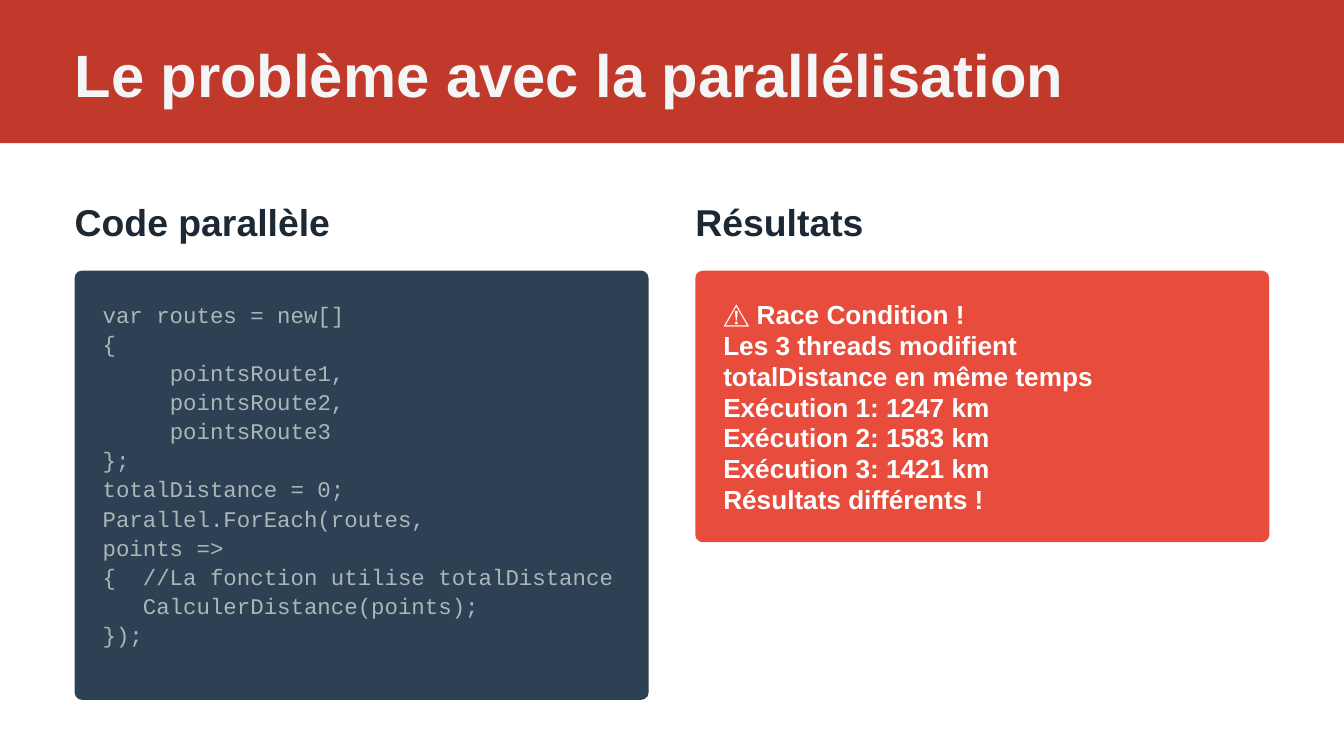
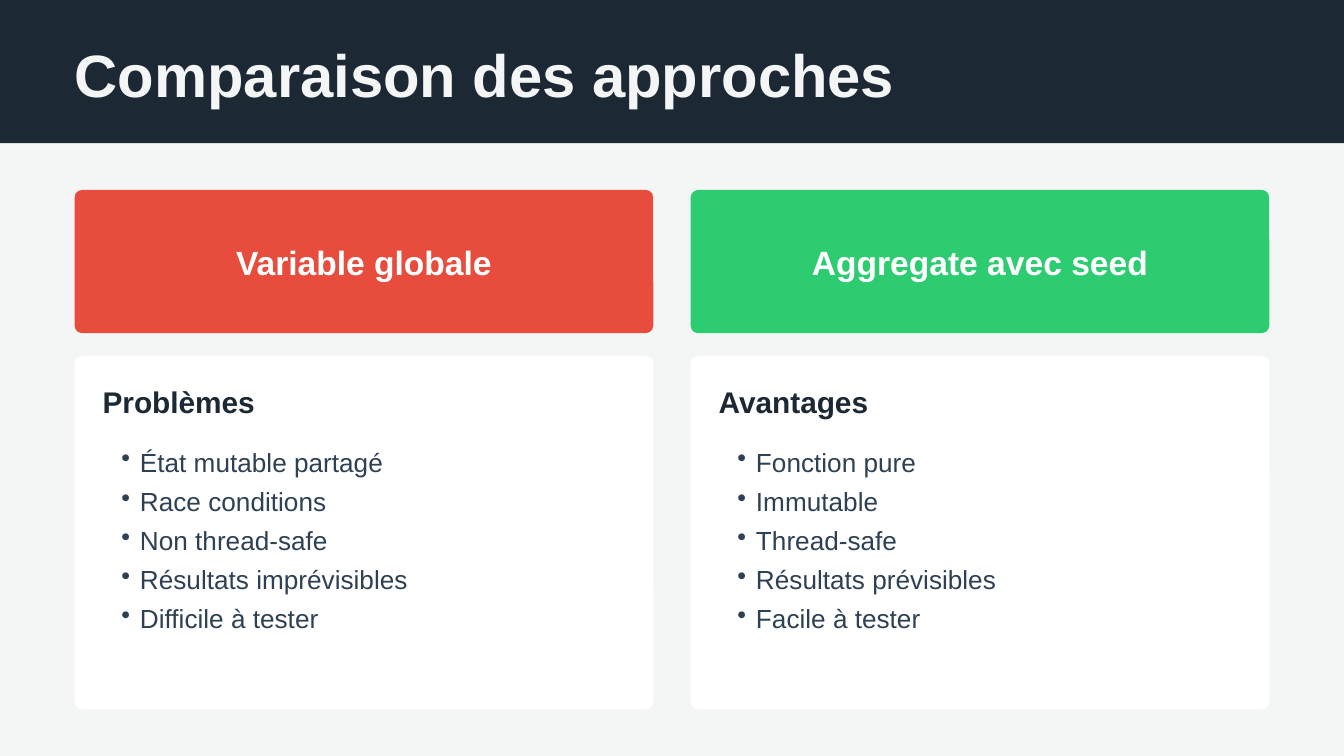
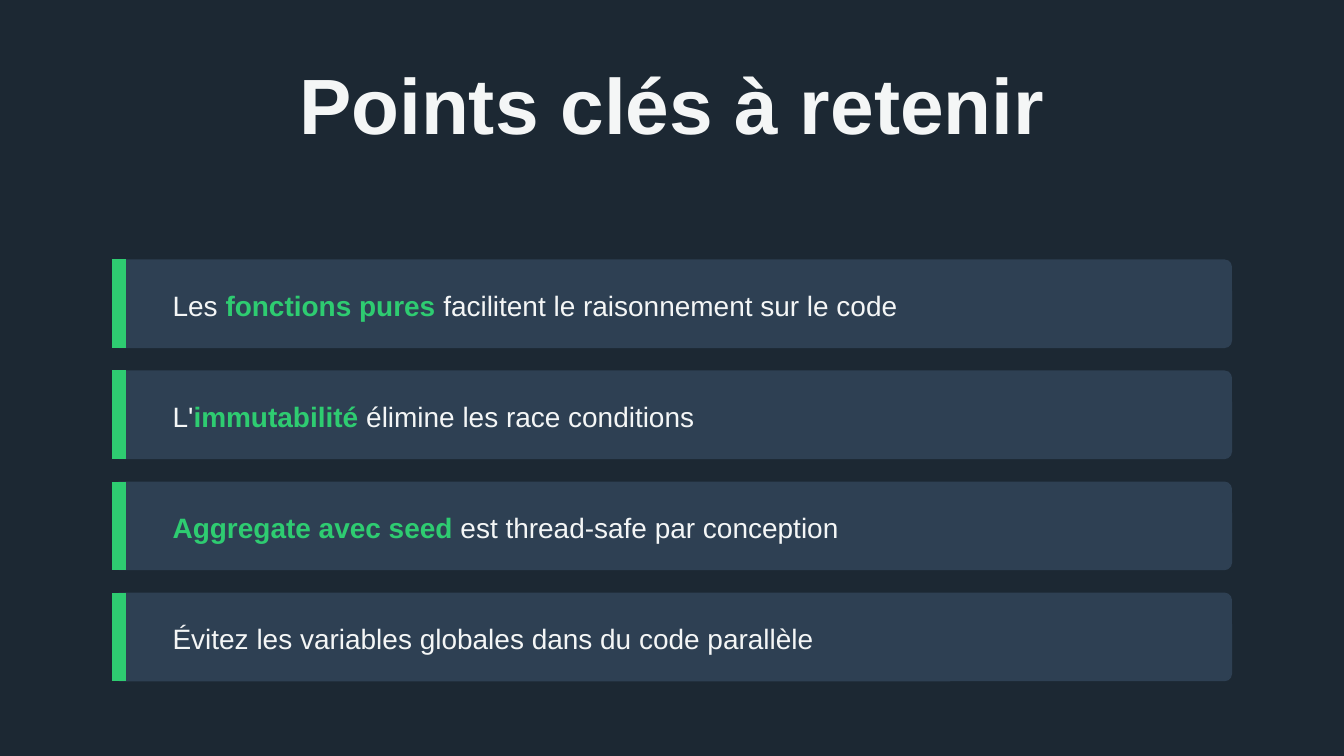
from dataclasses import dataclass
from typing import NamedTuple

from lxml.etree import SubElement
from pptx import Presentation
from pptx.dml.color import RGBColor as Rgb
from pptx.enum.shapes import MSO_CONNECTOR as Connector, MSO_SHAPE as Shape
from pptx.enum.text import PP_ALIGN as Align
from pptx.oxml import parse_xml
from pptx.oxml.ns import nsdecls, qn
from pptx.util import Pt


@dataclass(frozen=True)
class Theme:
    """Colours, fonts, type sizes and shared measures of the deck."""
    night: str = "1C2833"
    slate: str = "2E4053"
    mist: str = "F4F6F6"
    white: str = "FFFFFF"
    brick: str = "C0392B"
    red: str = "E74C3C"
    green: str = "2ECC71"
    code_grey: str = "AAB7B8"
    sans: str = "Arial"
    mono: str = "Courier New"
    closing_size: float = 42
    title_size: float = 32
    heading_size: float = 20
    label_size: float = 18
    subheading_size: float = 16
    takeaway_size: float = 15
    body_size: float = 14
    code_size: float = 12
    width: float = 720
    height: float = 405
    margin: float = 40
    padding: float = 15
    radius: float = 4


class Box(NamedTuple):
    """A rectangle in points."""
    x: float
    y: float
    w: float
    h: float

    def inner(self, dx, dy, w, h):
        """Return a box placed relative to this one."""
        return Box(self.x + dx, self.y + dy, w, h)

    def points(self):
        """Return the four measures as lengths."""
        return [Pt(value) for value in self]


THEME = Theme()

CODE = [
    "var routes = new[]",
    "{",
    "\tpointsRoute1,",
    "\tpointsRoute2,",
    "\tpointsRoute3",
    "};",
    "totalDistance = 0;",
    "Parallel.ForEach(routes,",
    "points =>",
    "{  //La fonction utilise totalDistance",
    "   CalculerDistance(points);",
    "});",
]
RESULTS = [
    "⚠️ Race Condition !",
    "Les 3 threads modifient",
    "totalDistance en même temps",
    "Exécution 1: 1247 km",
    "Exécution 2: 1583 km",
    "Exécution 3: 1421 km",
    "Résultats différents !",
]
APPROACHES = [
    ("Variable globale", THEME.red, "Problèmes",
     ["État mutable partagé", "Race conditions", "Non thread-safe",
      "Résultats imprévisibles", "Difficile à tester"]),
    ("Aggregate avec seed", THEME.green, "Avantages",
     ["Fonction pure", "Immutable", "Thread-safe",
      "Résultats prévisibles", "Facile à tester"]),
]
TAKEAWAYS = [
    "Les *fonctions pures* facilitent le raisonnement sur le code",
    "L'*immutabilité* élimine les race conditions",
    "*Aggregate avec seed* est thread-safe par conception",
    "Évitez les variables globales dans du code parallèle",
]


def add_slide(deck, background):
    """Add a blank slide with a plain background."""
    slide = deck.slides.add_slide(deck.slide_layouts[6])
    slide.background.fill.solid()
    slide.background.fill.fore_color.rgb = Rgb.from_string(background)
    return slide


def add_panel(slide, box, color, rounded=True):
    """Draw a filled panel without outline."""
    kind = Shape.ROUNDED_RECTANGLE if rounded else Shape.RECTANGLE
    panel = slide.shapes.add_shape(kind, *box.points())
    if rounded:
        panel.adjustments[0] = THEME.radius / min(box.w, box.h)
    panel.fill.solid()
    panel.fill.fore_color.rgb = Rgb.from_string(color)
    panel.line.fill.background()
    panel.shadow.inherit = False


def add_text(slide, box, lines, size, color, bold=False, font=THEME.sans,
             align=Align.LEFT, spacing=None):
    """Write one paragraph per line, with *marked* words in bold green."""
    frame = slide.shapes.add_textbox(*box.points()).text_frame
    frame.word_wrap = True
    frame.margin_left = frame.margin_right = Pt(0)
    frame.margin_top = frame.margin_bottom = Pt(0)
    for index, line in enumerate(lines):
        paragraph = frame.add_paragraph() if index else frame.paragraphs[0]
        paragraph.alignment = align
        if spacing:
            paragraph.line_spacing = Pt(spacing)
        paragraph.font.name = font
        paragraph.font.size = Pt(size)
        paragraph.font.bold = bold
        paragraph.font.color.rgb = Rgb.from_string(color)
        for position, words in enumerate(line.split("*")):
            if not words:
                continue
            run = paragraph.add_run()
            run.text = words
            if position % 2:
                run.font.bold = True
                run.font.color.rgb = Rgb.from_string(THEME.green)
    return frame


def add_bullets(slide, box, items):
    """Write a bulleted list with a hanging indent."""
    frame = add_text(slide, box, items, THEME.body_size, THEME.slate, spacing=21)
    for paragraph in frame.paragraphs:
        properties = paragraph._p.get_or_add_pPr()
        properties.set("marL", str(Pt(20)))
        properties.set("indent", str(Pt(-10)))
        bullet = parse_xml(f'<a:buChar {nsdecls("a")} char="•"/>')
        properties.insert_element_before(bullet, "a:tabLst", "a:defRPr", "a:extLst")


def add_header(slide, title, color):
    """Draw the title band across the top."""
    band = Box(0, 0, THEME.width, 76.75)
    add_panel(slide, band, color, rounded=False)
    add_text(slide, band.inner(THEME.margin, 20, 653, 36.75), [title],
             THEME.title_size, THEME.mist, bold=True)


def add_listing(slide, box, heading, lines, fill, panel_height, step, **style):
    """Draw a heading over a panel that holds evenly spaced lines."""
    add_text(slide, box.inner(0, 0, 314, 23), [heading],
             THEME.heading_size, THEME.night, bold=True)
    panel = box.inner(0, 38.5, box.w, panel_height)
    add_panel(slide, panel, fill)
    for row, line in enumerate(lines):
        place = panel.inner(THEME.padding, THEME.padding + row * step, 283, step)
        add_text(slide, place, [line], **style)


def add_approach(slide, box, label, color, heading, items):
    """Draw a coloured label above a card with its bullet list."""
    tag = box.inner(0, 0, box.w, 76.75)
    add_panel(slide, tag, color)
    add_text(slide, tag.inner(12, 28, 286, 21), [label],
             THEME.label_size, THEME.white, bold=True, align=Align.CENTER)
    card = box.inner(0, 89, box.w, box.h - 89)
    add_panel(slide, card, THEME.white)
    add_text(slide, card.inner(THEME.padding, 15, 286, 18.75), [heading],
             THEME.subheading_size, THEME.night, bold=True)
    add_bullets(slide, card.inner(THEME.padding, 44, 280, 105), items)


def add_takeaway(slide, box, sentence):
    """Draw a takeaway bar with a green accent on its left edge."""
    add_panel(slide, box, THEME.slate)
    accent_x = Pt(box.x + 3.75)
    accent = slide.shapes.add_connector(
        Connector.STRAIGHT, accent_x, Pt(box.y), accent_x, Pt(box.y + box.h))
    accent.line.color.rgb = Rgb.from_string(THEME.green)
    accent.line.width = Pt(7.5)
    SubElement(accent._element.spPr, qn("a:effectLst"))
    add_text(slide, box.inner(32.5, 14, 553.5, 19.5), [sentence],
             THEME.takeaway_size, THEME.mist, spacing=19.5)


def build_problem(deck):
    """Build the slide on the race condition."""
    slide = add_slide(deck, THEME.white)
    add_header(slide, "Le problème avec la parallélisation", THEME.brick)
    code = Box(THEME.margin, 106.5, 307.5, 268.5)
    add_listing(slide, code, "Code parallèle", CODE, THEME.slate, 230, 15.6,
                size=THEME.code_size, color=THEME.code_grey,
                font=THEME.mono, spacing=15.6)
    results = code.inner(code.w + 25, 0, code.w, code.h)
    add_listing(slide, results, "Résultats", RESULTS, THEME.red, 145.5, 16.5,
                size=THEME.body_size, color=THEME.white, bold=True)


def build_comparison(deck):
    """Build the slide that compares both approaches."""
    slide = add_slide(deck, THEME.mist)
    add_header(slide, "Comparaison des approches", THEME.night)
    first = Box(THEME.margin, 101.75, 310, 278.25)
    for column, approach in enumerate(APPROACHES):
        add_approach(slide, first.inner(column * (first.w + 20), 0, first.w, first.h),
                     *approach)


def build_takeaways(deck):
    """Build the closing slide."""
    slide = add_slide(deck, THEME.night)
    add_text(slide, Box(33.5, 30, 653, 49), ["Points clés à retenir"],
             THEME.closing_size, THEME.mist, bold=True, align=Align.CENTER)
    first = Box(60, 139, 600, 47.5)
    for row, sentence in enumerate(TAKEAWAYS):
        add_takeaway(slide, first.inner(0, row * (first.h + 12), first.w, first.h),
                     sentence)


def main():
    """Build and save the deck."""
    deck = Presentation()
    deck.slide_width, deck.slide_height = Pt(THEME.width), Pt(THEME.height)
    build_problem(deck)
    build_comparison(deck)
    build_takeaways(deck)
    deck.save("out.pptx")


if __name__ == "__main__":
    main()
